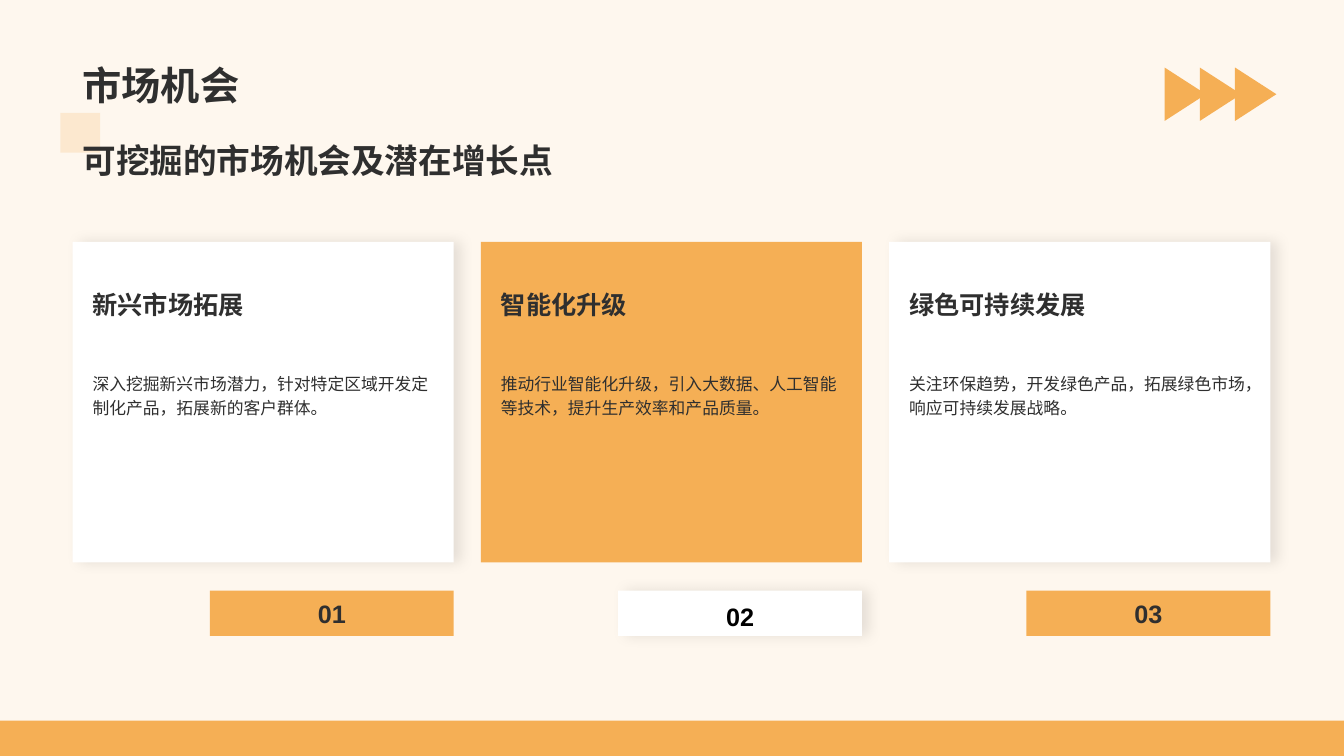
from dataclasses import dataclass

from lxml import etree
from pptx import Presentation
from pptx.dml.color import RGBColor
from pptx.enum.shapes import MSO_SHAPE
from pptx.enum.text import MSO_ANCHOR, MSO_AUTO_SIZE, PP_ALIGN
from pptx.oxml.ns import qn
from pptx.util import Inches, Pt

RECTANGLE = MSO_SHAPE.RECTANGLE
TOP, MIDDLE, BOTTOM = MSO_ANCHOR.TOP, MSO_ANCHOR.MIDDLE, MSO_ANCHOR.BOTTOM
LEFT, CENTER = PP_ALIGN.LEFT, PP_ALIGN.CENTER
NO_AUTOFIT = MSO_AUTO_SIZE.NONE

SLIDE_WIDTH, SLIDE_HEIGHT = Inches(13.33), Inches(7.5)
MARGIN = 5.4
CARD_WIDTH = 28.36
CARD_STEP = 30.38
CONTENT_WIDTH = 2 * CARD_STEP + CARD_WIDTH
TEXT_INSET = 0.75
TAB_WIDTH = 18.15
ARROW_LEFT, ARROW_STEP = 86.65, 2.62


@dataclass(frozen=True)
class Theme:
    """Colours, font and type sizes of the slide."""
    background: str = "FEF7EE"
    accent: str = "F5AF55"
    white: str = "FFFFFF"
    black: str = "000000"
    ink: str = "2F2F2F"
    font: str = "Arial"
    title: int = 28
    subtitle: int = 24
    heading: int = 18
    body: int = 12


@dataclass(frozen=True)
class Box:
    """A rectangle in percent of the slide's width and height."""
    left: float
    top: float
    width: float
    height: float

    def emu(self) -> tuple[int, int, int, int]:
        """Return left, top, width and height as slide lengths."""
        return (int(SLIDE_WIDTH * self.left / 100), int(SLIDE_HEIGHT * self.top / 100),
                int(SLIDE_WIDTH * self.width / 100), int(SLIDE_HEIGHT * self.height / 100))


@dataclass(frozen=True)
class TextStyle:
    """How one paragraph is set."""
    size: int
    bold: bool = True
    color: str = Theme.ink
    align: PP_ALIGN = LEFT
    anchor: MSO_ANCHOR = TOP
    line_spacing: float = 1.0
    wrap: bool = True


@dataclass(frozen=True)
class Card:
    """One market opportunity with its number tab."""
    number: str
    heading: str
    body: str
    fill: str
    tab_fill: str
    tab_style: TextStyle


THEME = Theme()
TITLE = TextStyle(THEME.title, anchor=BOTTOM)
SUBTITLE = TextStyle(THEME.subtitle, anchor=MIDDLE)
HEADING = TextStyle(THEME.heading, line_spacing=1.2)
BODY = TextStyle(THEME.body, bold=False, line_spacing=1.2)
TAB = TextStyle(THEME.heading, align=CENTER, anchor=MIDDLE)
WHITE_TAB = TextStyle(THEME.heading, color=THEME.black, align=CENTER, anchor=MIDDLE,
                      line_spacing=1.2, wrap=False)
TRIANGLE = ((0, 0), (1, 0.5), (0, 1))
SQUARE = ((0, 0), (1, 0), (1, 1), (0, 1))
CARDS = (
    Card("01", "新兴市场拓展", "深入挖掘新兴市场潜力，针对特定区域开发定制化产品，拓展新的客户群体。",
         THEME.white, THEME.accent, TAB),
    Card("02", "智能化升级", "推动行业智能化升级，引入大数据、人工智能等技术，提升生产效率和产品质量。",
         THEME.accent, THEME.white, WHITE_TAB),
    Card("03", "绿色可持续发展", "关注环保趋势，开发绿色产品，拓展绿色市场，响应可持续发展战略。",
         THEME.white, THEME.accent, TAB),
)


def write_text(shape, text: str, style: TextStyle) -> None:
    """Set the single paragraph of a shape."""
    frame = shape.text_frame
    frame.auto_size = NO_AUTOFIT
    frame.word_wrap = style.wrap
    frame.vertical_anchor = style.anchor
    paragraph = frame.paragraphs[0]
    paragraph.alignment = style.align
    paragraph.line_spacing = style.line_spacing
    run = paragraph.add_run()
    run.text = text
    run.font.name = THEME.font
    run.font.size = Pt(style.size)
    run.font.bold = style.bold
    run.font.color.rgb = RGBColor.from_string(style.color)


def paint(shape, color: str) -> None:
    """Give a shape a plain fill without line or shadow."""
    shape.shadow.inherit = False
    shape.fill.solid()
    shape.fill.fore_color.rgb = RGBColor.from_string(color)
    shape.line.fill.background()


def set_alpha(color_element, percent: int) -> None:
    """Make a colour element partly transparent."""
    etree.SubElement(color_element, qn("a:alpha"), val=str(percent * 1000))


def add_soft_shadow(shape) -> None:
    """Cast a faint shadow to the right of a shape."""
    effects = shape._element.spPr.find(qn("a:effectLst"))
    shadow = etree.SubElement(effects, qn("a:outerShdw"), blurRad=str(Pt(10)),
                              dist=str(Pt(5)), dir="0", algn="l", rotWithShape="0")
    set_alpha(etree.SubElement(shadow, qn("a:srgbClr"), val=THEME.black), 10)


def add_panel(slide, box: Box, color: str):
    """Add a rectangle; white ones are lifted by a shadow."""
    shape = slide.shapes.add_shape(RECTANGLE, *box.emu())
    paint(shape, color)
    if color == THEME.white:
        add_soft_shadow(shape)
    return shape


def add_polygon(slide, box: Box, corners: tuple):
    """Add an accent outline whose corners are shares of its box."""
    left, top, width, height = box.emu()
    points = [(int(left + x * width), int(top + y * height)) for x, y in corners]
    builder = slide.shapes.build_freeform(*points[0])
    builder.add_line_segments(points[1:], close=True)
    shape = builder.convert_to_shape()
    paint(shape, THEME.accent)
    return shape


def add_text(slide, box: Box, text: str, style: TextStyle) -> None:
    """Add a text box."""
    write_text(slide.shapes.add_textbox(*box.emu()), text, style)


def add_card(slide, column: int, card: Card) -> None:
    """Add a card and the number tab at its right edge."""
    left = MARGIN + column * CARD_STEP
    text_left, text_width = left + TEXT_INSET, CARD_WIDTH - 2 * TEXT_INSET
    add_panel(slide, Box(left, 32, CARD_WIDTH, 42.4), card.fill)
    tab = add_panel(slide, Box(left + CARD_WIDTH - TAB_WIDTH, 78.13, TAB_WIDTH, 6),
                    card.tab_fill)
    write_text(tab, card.number, card.tab_style)
    add_text(slide, Box(text_left, 48.27, text_width, 24.13), card.body, BODY)
    add_text(slide, Box(text_left, 36.8, text_width, 11.47), card.heading, HEADING)


def main() -> None:
    """Build and save the slide."""
    presentation = Presentation()
    presentation.slide_width, presentation.slide_height = SLIDE_WIDTH, SLIDE_HEIGHT
    slide = presentation.slides.add_slide(presentation.slide_layouts[5])
    slide.background.fill.solid()
    slide.background.fill.fore_color.rgb = RGBColor.from_string(THEME.background)

    title = slide.shapes.title
    title.left, title.top, title.width, title.height = Box(
        MARGIN, 1.87, CONTENT_WIDTH, 13.07).emu()
    write_text(title, "市场机会", TITLE)

    add_panel(slide, Box(0, 95.33, 100, 4.67), THEME.accent)
    for index in range(3):
        add_polygon(slide, Box(ARROW_LEFT + index * ARROW_STEP, 8.93, 3.08, 7.07), TRIANGLE)
    square = add_polygon(slide, Box(4.5, 14.93, 2.95, 5.25), SQUARE)
    set_alpha(square._element.spPr.find(qn("a:solidFill"))[0], 20)
    add_text(slide, Box(MARGIN, 16.53, CONTENT_WIDTH, 9.2),
             "可挖掘的市场机会及潜在增长点", SUBTITLE)
    for column, card in enumerate(CARDS):
        add_card(slide, column, card)
    presentation.save("out.pptx")


if __name__ == "__main__":
    main()
